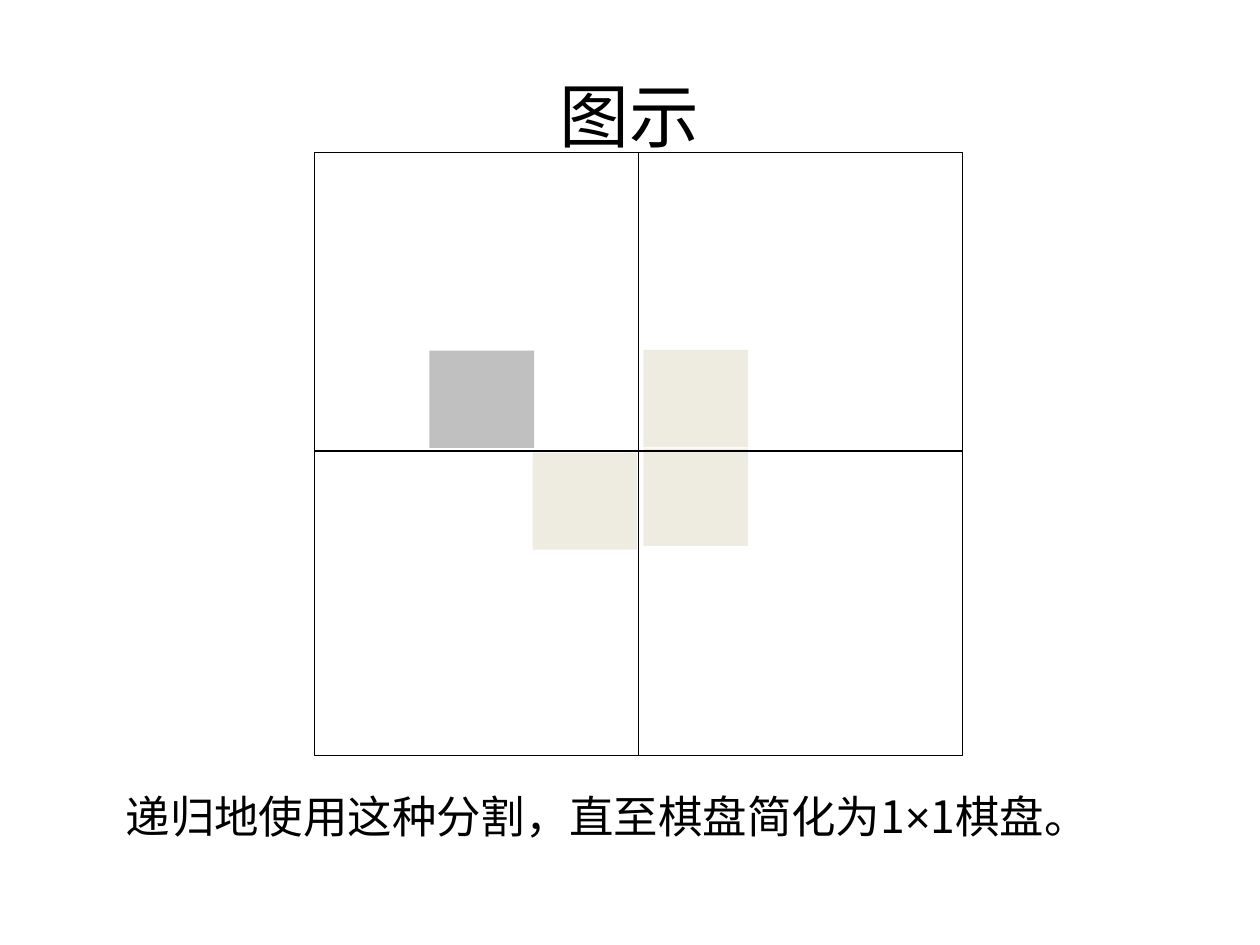
from dataclasses import dataclass

from lxml.etree import SubElement
from pptx import Presentation
from pptx.dml.color import RGBColor
from pptx.enum.shapes import MSO_CONNECTOR as Connector, MSO_SHAPE as Shape
from pptx.enum.text import MSO_ANCHOR as Anchor, MSO_AUTO_SIZE as AutoSize, PP_ALIGN as Align
from pptx.oxml.ns import qn
from pptx.util import Pt


@dataclass(frozen=True)
class Theme:
    ink: str = "000000"
    paper: str = "FFFFFF"
    special: str = "C0C0C0"
    corner: str = "EEECE1"
    latin: str = "Arial"
    chinese: str = "Noto Sans CJK SC"
    title_size: float = 44
    body_size: float = 28
    line_width: float = 0.75


THEME = Theme()
PAGE_SIZE = (793.75, 595.25)
TITLE = "图示"
BODY = [
    ("递归地使用这种分割，直至棋盘简化为1", THEME.chinese),
    ("×", THEME.latin),
    ("1棋盘。", THEME.chinese),
]
TITLE_BOX = (39.6, 23.8, 714.2, 99.4)
BODY_BOX = (79.2, 498.6, 714.2, 96)
BOARD = (198.2, 96.2, 408, 379.5)
MIDDLE_Y = 284.1
CELL_SIZE = (66, 61.2)
CELLS = [
    (270.5, 220.9, THEME.special),
    (335.5, 285.1, THEME.corner),
    (405.4, 282.6, THEME.corner),
    (405.4, 220.4, THEME.corner),
]


def points(values):
    return [Pt(value) for value in values]


def style_span(span, size, font_name):
    span.font.size = Pt(size)
    span.font.name = font_name
    span.font.color.rgb = RGBColor.from_string(THEME.ink)
    east_asian = SubElement(span.font._element, qn("a:ea"))
    east_asian.set("typeface", THEME.chinese)


def prepare_frame(box, bounds, anchor, top_margin):
    box.left, box.top, box.width, box.height = points(bounds)
    frame = box.text_frame
    frame.word_wrap = True
    frame.auto_size = AutoSize.NONE
    frame.vertical_anchor = anchor
    frame.margin_left = frame.margin_right = frame.margin_bottom = 0
    frame.margin_top = Pt(top_margin)
    return frame


def write_title(page):
    frame = prepare_frame(page.shapes.title, TITLE_BOX, Anchor.MIDDLE, 2.9)
    frame.text = TITLE
    para = frame.paragraphs[0]
    para.alignment = Align.CENTER
    para.line_spacing = 0.94
    style_span(para.runs[0], THEME.title_size, THEME.latin)


def write_body(page):
    frame = prepare_frame(page.placeholders[1], BODY_BOX, Anchor.TOP, 0)
    para = frame.paragraphs[0]
    para.alignment = Align.LEFT
    para.line_spacing = 0.98
    para.space_before = Pt(0)
    para.space_after = Pt(14.3)
    properties = para._p.get_or_add_pPr()
    properties.set("marL", "0")
    properties.set("indent", "0")
    SubElement(properties, qn("a:buNone"))
    for text, font_name in BODY:
        span = para.add_run()
        span.text = text
        style_span(span, THEME.body_size, font_name)


def style_line(line):
    line.color.rgb = RGBColor.from_string(THEME.ink)
    line.width = Pt(THEME.line_width)


def add_square(page, bounds, color):
    square = page.shapes.add_shape(Shape.RECTANGLE, *points(bounds))
    square.shadow.inherit = False
    square.fill.solid()
    square.fill.fore_color.rgb = RGBColor.from_string(color)
    square.line.fill.background()
    return square


def add_divider(page, ends):
    divider = page.shapes.add_connector(Connector.STRAIGHT, *points(ends))
    style_line(divider.line)
    SubElement(divider._element.spPr, qn("a:effectLst"))
    return divider


def draw_board(page):
    left, top, width, height = BOARD
    middle_x = left + width / 2
    board = add_square(page, BOARD, THEME.paper)
    style_line(board.line)
    vertical = add_divider(page, (middle_x, top, middle_x, top + height))
    vertical.begin_connect(board, 0)
    vertical.end_connect(board, 2)
    for cell_left, cell_top, color in CELLS:
        add_square(page, (cell_left, cell_top, *CELL_SIZE), color)
    add_divider(page, (left, MIDDLE_Y, left + width, MIDDLE_Y))


def main():
    deck = Presentation()
    deck.slide_width, deck.slide_height = points(PAGE_SIZE)
    page = deck.slides.add_slide(deck.slide_layouts[1])
    write_title(page)
    write_body(page)
    draw_board(page)
    deck.save("out.pptx")


if __name__ == "__main__":
    main()
